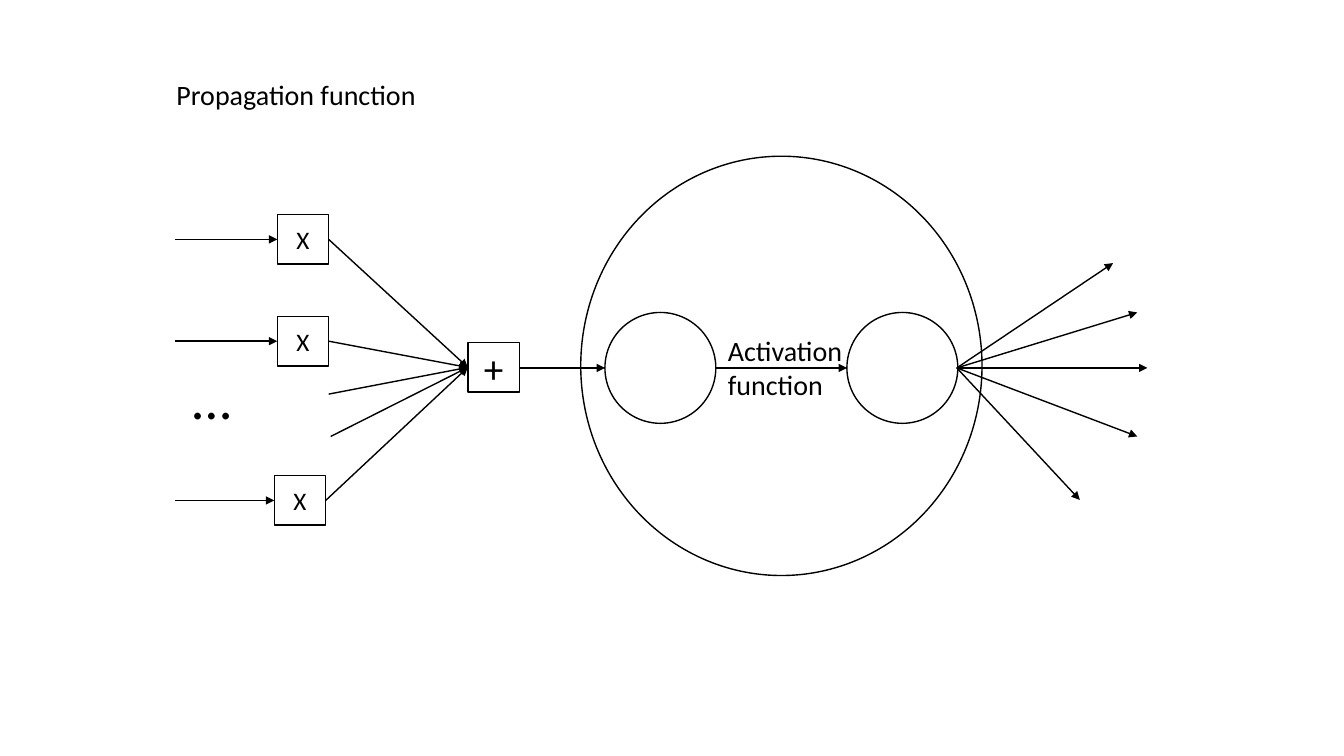
from pptx import Presentation
from pptx.dml.color import RGBColor
from pptx.enum import shapes, text
from pptx.oxml import ns
from pptx.util import Inches, Pt
from lxml import etree

BLACK = RGBColor(0, 0, 0)
WHITE = RGBColor(255, 255, 255)
FONT = "Calibri"
BOX_WIDTH, BOX_HEIGHT = 0.51, 0.49
UNIT_SIZE = 1.1


def write(frame, words, size, align=text.PP_ALIGN.LEFT, anchor=text.MSO_ANCHOR.TOP):
    """Put one formatted run into a text frame."""
    frame.word_wrap = True
    frame.vertical_anchor = anchor
    paragraph = frame.paragraphs[0]
    paragraph.alignment = align
    run = paragraph.add_run()
    run.text = words
    run.font.name = FONT
    run.font.size = Pt(size)
    run.font.color.rgb = BLACK


def add_outline(slide, kind, left, top, width, height):
    """Add a white shape with a thin black outline."""
    shape = slide.shapes.add_shape(
        kind, Inches(left), Inches(top), Inches(width), Inches(height))
    shape.shadow.inherit = False
    shape.fill.solid()
    shape.fill.fore_color.rgb = WHITE
    shape.line.color.rgb = BLACK
    shape.line.width = Pt(1)
    return shape


def add_operator(slide, left, top, symbol, size):
    """Add a small square holding an operator symbol."""
    shape = add_outline(slide, shapes.MSO_SHAPE.RECTANGLE, left, top, BOX_WIDTH, BOX_HEIGHT)
    write(shape.text_frame, symbol, size, text.PP_ALIGN.CENTER, text.MSO_ANCHOR.MIDDLE)


def add_arrow(slide, start, end):
    """Add a straight arrow between two points."""
    arrow = slide.shapes.add_connector(
        shapes.MSO_CONNECTOR.STRAIGHT, *map(Inches, (*start, *end)))
    arrow.line.color.rgb = BLACK
    arrow.line.width = Pt(1)
    etree.SubElement(arrow.line._get_or_add_ln(), ns.qn("a:tailEnd"), type="triangle")
    etree.SubElement(arrow._element.spPr, ns.qn("a:effectLst"))


def add_label(slide, left, top, width, height, words, size):
    """Add a wrapping text label."""
    label = slide.shapes.add_textbox(
        Inches(left), Inches(top), Inches(width), Inches(height))
    write(label.text_frame, words, size)


def add_heading(slide, left, top, width, height):
    """Move the title placeholder into its box and fill it."""
    title = slide.shapes.title
    title.left, title.top = Inches(left), Inches(top)
    title.width, title.height = Inches(width), Inches(height)
    title.text_frame.auto_size = text.MSO_AUTO_SIZE.NONE
    write(title.text_frame, "Propagation function", 20)


def add_propagation(slide, left, top, width, height):
    """Draw weighted inputs that meet in a sum at the right edge of the box."""
    sum_left = left + width - BOX_WIDTH
    sum_top = top + 1.27
    sum_input = (sum_left, sum_top + BOX_HEIGHT / 2)
    bottom_row = height - BOX_HEIGHT
    for offset, row in ((1.01, 0), (1.01, 1.01), (0.98, bottom_row)):
        box_left, middle = left + offset, top + row + BOX_HEIGHT / 2
        add_operator(slide, box_left, top + row, "X", 18)
        add_arrow(slide, (left, middle), (box_left, middle))
        add_arrow(slide, (box_left + BOX_WIDTH, middle), sum_input)
    for offset, row in ((1.52, 1.78), (1.54, 2.2)):
        add_arrow(slide, (left + offset, top + row), sum_input)
    add_operator(slide, sum_left, sum_top, "+", 28)
    add_label(slide, left + 0.07, top + 1.43, 0.54, 0.77, "…", 40)


def add_neuron(slide, left, top, width, height, axis, source):
    """Draw the cell with its two units and the arrows along the axis."""
    ellipse = shapes.MSO_SHAPE.OVAL
    add_outline(slide, ellipse, left, top, width, height)
    first = left + 0.24
    second = left + width - 0.24 - UNIT_SIZE
    for unit in (first, second):
        add_outline(slide, ellipse, unit, axis - UNIT_SIZE / 2, UNIT_SIZE, UNIT_SIZE)
    add_arrow(slide, (source, axis), (first, axis))
    add_arrow(slide, (first + UNIT_SIZE, axis), (second, axis))
    add_label(slide, first + UNIT_SIZE + 0.02, axis - 0.39, 1.38, 0.77,
              "Activation function", 20)


def add_outputs(slide, left, axis):
    """Fan the output arrows out from one point."""
    for across, down in ((1.55, -1.04), (1.79, -0.55), (1.89, 0), (1.79, 0.68), (1.22, 1.31)):
        add_arrow(slide, (left, axis), (left + across, axis + down))


def main():
    """Build and save the neuron slide."""
    presentation = Presentation()
    presentation.slide_width = Inches(13.33)
    presentation.slide_height = Inches(7.5)
    slide = presentation.slides.add_slide(presentation.slide_layouts[5])
    axis = 3.65
    add_heading(slide, 1.65, 0.72, 2.7, 0.44)
    add_propagation(slide, 1.74, 2.13, 3.41, 3.08)
    add_neuron(slide, 5.76, 1.55, 3.98, 4.16, axis, 5.15)
    add_outputs(slide, 9.49, axis)
    presentation.save("out.pptx")


if __name__ == "__main__":
    main()
